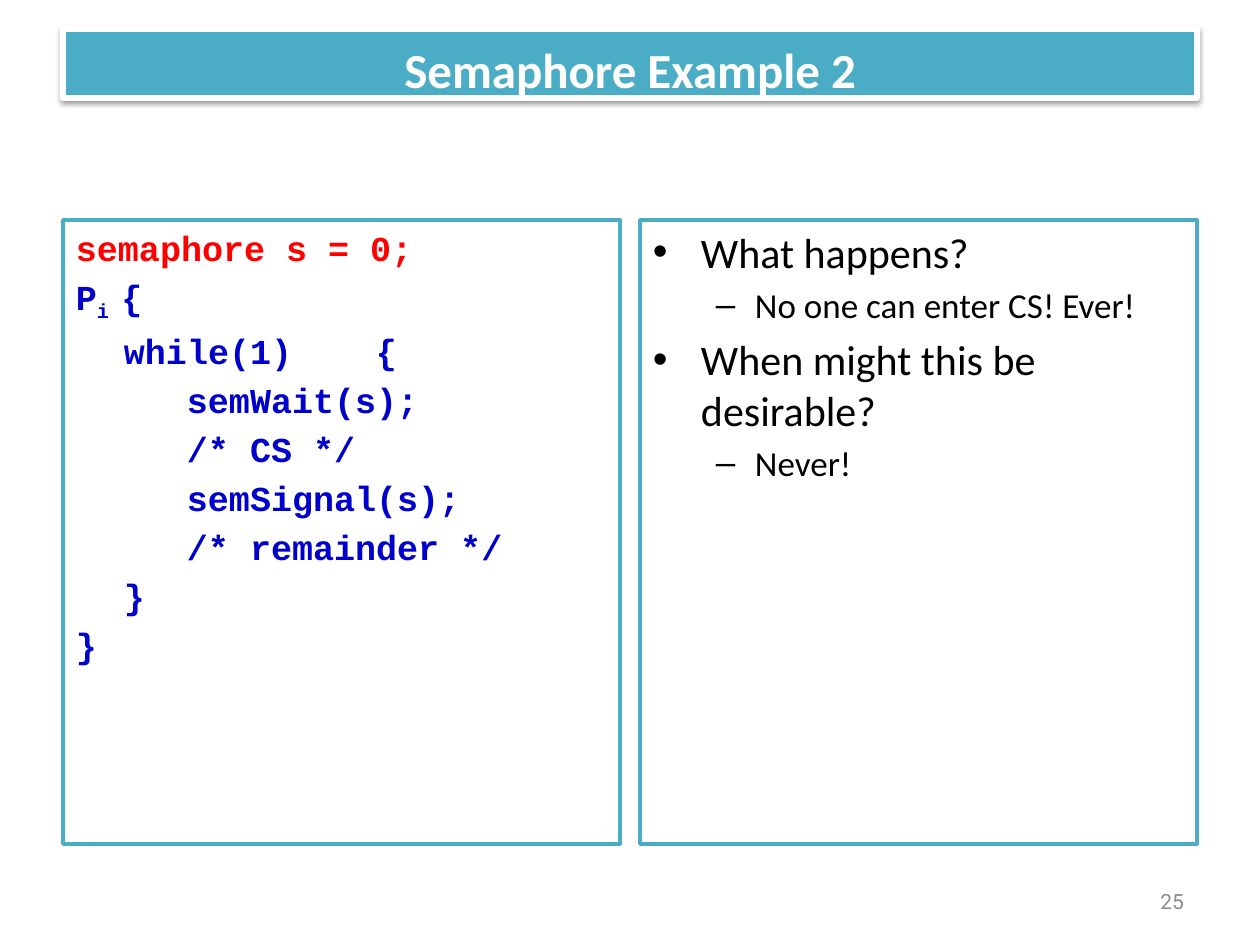
"""Builds the slide about the second semaphore example."""
from dataclasses import dataclass

from lxml import etree
from pptx import Presentation
from pptx.dml.color import RGBColor
from pptx.enum.shapes import MSO_SHAPE
from pptx.enum.text import MSO_ANCHOR, PP_ALIGN
from pptx.oxml.ns import qn
from pptx.util import Emu, Pt

RECTANGLE = MSO_SHAPE.RECTANGLE
TOP, MIDDLE, BOTTOM = MSO_ANCHOR.TOP, MSO_ANCHOR.MIDDLE, MSO_ANCHOR.BOTTOM
LEFT, CENTER, RIGHT = PP_ALIGN.LEFT, PP_ALIGN.CENTER, PP_ALIGN.RIGHT
EMU_PER_PX = 914400 / 126
TEAL, WHITE, BLACK, RED, BLUE, GRAY = "4BACC6", "FFFFFF", "000000", "FF0000", "0000CC", "8C8C8C"
SUBSCRIPT = "-25000"


@dataclass(frozen=True)
class Style:
    font: str
    size: int
    color: str
    bold: bool = False
    align: PP_ALIGN = LEFT
    margin: int = 0
    hanging: int = 0
    bullet: str = ""
    gap: bool = False


@dataclass(frozen=True)
class Line:
    spans: tuple[str, ...]
    style: Style
    subscript: int = -1


@dataclass(frozen=True)
class Box:
    left: int
    top: int
    width: int
    height: int
    lines: tuple[Line, ...]
    fill: str = WHITE
    border: str = TEAL
    border_points: int = 2
    anchor: MSO_ANCHOR = TOP
    insets: tuple[int, int, int, int] = (13, 6, 13, 6)


DECLARATION = Style("Courier New", 20, RED, True, margin=48, hanging=48, gap=True)
CODE = Style("Courier New", 20, BLUE, True, margin=48, hanging=48, gap=True)
QUESTION = Style("Calibri", 24, BLACK, margin=48, hanging=48, bullet="•", gap=True)
ANSWER = Style("Calibri", 20, BLACK, margin=102, hanging=39, bullet="–", gap=True)
TITLE = Style("Calibri", 28, WHITE, True, CENTER)
NUMBER = Style("Roboto", 12, GRAY, align=RIGHT)

CODE_LINES = (
    Line(("semaphore s = 0;",), DECLARATION),
    Line(("P", "i ", "{"), CODE, subscript=1),
    *(Line((text,), CODE) for text in (
        "\twhile(1) \t{", "\t\tsemWait(s);", "\t\t/* CS */", "\t\tsemSignal(s);",
        "\t\t/* remainder */", "\t}", "}")),
)
DISCUSSION_LINES = (
    Line(("What happens?",), QUESTION),
    Line(("No one can enter CS! Ever!",), ANSWER),
    Line(("When might this be desirable?",), QUESTION),
    Line(("Never!",), ANSWER),
)


def px(length: int) -> Emu:
    """Turn pixels into EMU."""
    return Emu(round(length * EMU_PER_PX))


def rgb(color: str) -> RGBColor:
    """Turn a hex string into a colour."""
    return RGBColor.from_string(color)


def write_line(para, line: Line) -> None:
    """Write one styled line into a paragraph."""
    style = line.style
    para.alignment = style.align
    properties = para._p.get_or_add_pPr()
    properties.set("marL", str(px(style.margin)))
    properties.set("indent", str(-px(style.hanging)))
    if style.gap:
        before = etree.SubElement(properties, qn("a:spcBef"))
        etree.SubElement(before, qn("a:spcPct"), val="20000")
    if style.bullet:
        etree.SubElement(properties, qn("a:buFont"), typeface="Arial")
        etree.SubElement(properties, qn("a:buChar"), char=style.bullet)
    font = para.font
    font.name, font.size, font.bold = style.font, Pt(style.size), style.bold
    font.color.rgb = rgb(style.color)
    for index, text in enumerate(line.spans):
        span = para.add_run()
        span.text = text
        if index == line.subscript:
            span._r.get_or_add_rPr().set("baseline", SUBSCRIPT)


def write_text(shape, lines: tuple[Line, ...], anchor: MSO_ANCHOR,
               insets: tuple[int, int, int, int]) -> None:
    """Fill a shape's text frame with lines."""
    frame = shape.text_frame
    frame.word_wrap = True
    frame.vertical_anchor = anchor
    frame.margin_left, frame.margin_top, frame.margin_right, frame.margin_bottom = map(px, insets)
    for index, line in enumerate(lines):
        write_line(frame.add_paragraph() if index else frame.paragraphs[0], line)


def draw_box(page, box: Box):
    """Draw a filled, outlined rectangle with its text."""
    shape = page.shapes.add_shape(
        RECTANGLE, px(box.left), px(box.top), px(box.width), px(box.height))
    shape.shadow.inherit = False
    shape.fill.solid()
    shape.fill.fore_color.rgb = rgb(box.fill)
    shape.line.color.rgb = rgb(box.border)
    shape.line.width = Pt(box.border_points)
    write_text(shape, box.lines, box.anchor, box.insets)
    return shape


def add_shadow(shape) -> None:
    """Give a shape a soft shadow straight below."""
    effects = shape._element.spPr.find(qn("a:effectLst"))
    shadow = etree.SubElement(
        effects, qn("a:outerShdw"), blurRad=str(Pt(3.1)), dist=str(Pt(1.6)),
        dir="5400000", rotWithShape="0")
    color = etree.SubElement(shadow, qn("a:srgbClr"), val=BLACK)
    etree.SubElement(color, qn("a:alpha"), val="38000")


def main() -> None:
    """Build and save the deck."""
    deck = Presentation()
    deck.slide_width, deck.slide_height = px(1260), px(945)
    page = deck.slides.add_slide(deck.slide_layouts[6])
    for left, lines in ((63, CODE_LINES), (640, DISCUSSION_LINES)):
        draw_box(page, Box(left, 220, 557, 624, lines))
    number = page.shapes.add_textbox(px(903), px(876), px(294), px(50))
    write_text(number, (Line(("25",), NUMBER),), MIDDLE, (13, 6, 13, 6))
    title = draw_box(page, Box(
        63, 29, 1134, 69, (Line(("Semaphore Example 2",), TITLE),), fill=TEAL,
        border=WHITE, border_points=3, anchor=BOTTOM, insets=(0, 6, 0, 0)))
    add_shadow(title)
    deck.save("out.pptx")


if __name__ == "__main__":
    main()
